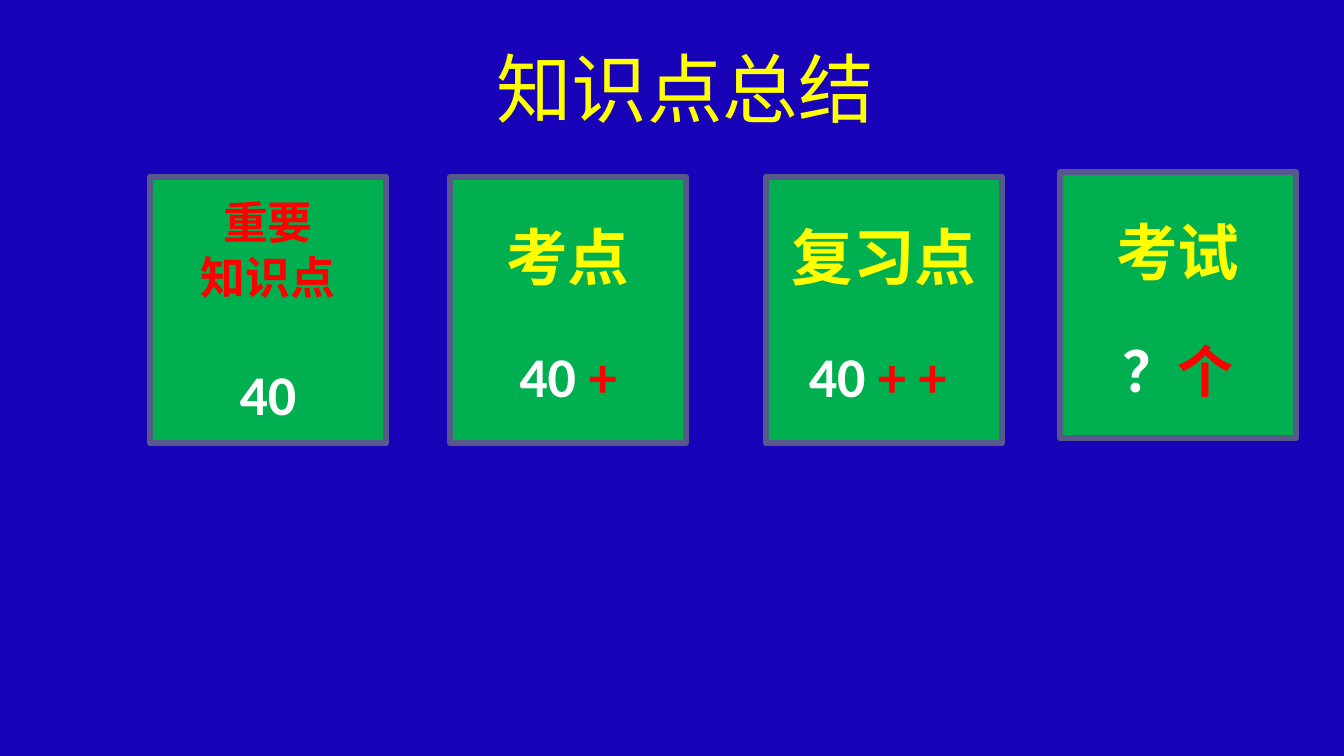
from lxml import etree
from pptx import Presentation
from pptx.dml.color import RGBColor
from pptx.enum.shapes import MSO_SHAPE
from pptx.enum.text import MSO_ANCHOR, PP_ALIGN
from pptx.oxml.ns import qn
from pptx.util import Pt

RECT = MSO_SHAPE.RECTANGLE
TOP, MIDDLE = MSO_ANCHOR.TOP, MSO_ANCHOR.MIDDLE
LEFT, CENTER = PP_ALIGN.LEFT, PP_ALIGN.CENTER
PX = 914400 / 100.8
SC, JP = "Noto Sans CJK SC", "Noto Sans CJK JP"
HEX = {"blue": "1903B9", "green": "00B050", "edge": "59588A",
       "yellow": "FFFF00", "red": "FF0000", "white": "FFFFFF"}
COLOR = {name: RGBColor.from_string(code) for name, code in HEX.items()}


def px(*nums):
    return [round(n * PX) for n in nums]


def write(para, runs, size, pitch, east=SC, bold=True, align=CENTER, before=0):
    """Fill a paragraph with (text, color) runs."""
    para.alignment = align
    para.line_spacing = Pt(pitch)
    para.space_before = Pt(before)
    for text, color in runs:
        run = para.add_run()
        run.text = text
        font = run.font
        font.size, font.bold, font.name = Pt(size), bold, "Calibri"
        font.color.rgb = COLOR[color]
        props = run._r.get_or_add_rPr()
        etree.SubElement(props, qn("a:ea")).set("typeface", east)


# Slide and background
prs = Presentation()
prs.slide_width, prs.slide_height = px(1344, 756)
slide = prs.slides.add_slide(prs.slide_layouts[5])
back = slide.background.fill
back.solid()
back.fore_color.rgb = COLOR["blue"]

# Title
title = slide.shapes.title
title.left, title.top, title.width, title.height = px(486, 35, 417, 102)
frame = title.text_frame
frame.word_wrap, frame.vertical_anchor = True, TOP
write(frame.paragraphs[0], [("知识点总结", "yellow")], 54, 66,
      east=JP, bold=False, align=LEFT)

# Cards: left, top, heading lines, count runs
cards = [
    (150, 177, ["重要", "知识点"], [("40", "white")]),
    (450, 177, ["考点"], [("40 ", "white"), ("+", "red")]),
    (766, 177, ["复习点"], [("40 ", "white"), ("+ + ", "red")]),
    (1060, 172, ["考试"], [("？", "white"), ("个", "red")]),
]
for left, top, heads, count in cards:
    card = slide.shapes.add_shape(RECT, *px(left, top, 236, 266))
    card.shadow.inherit = False
    card.fill.solid()
    card.fill.fore_color.rgb = COLOR["green"]
    card.line.color.rgb = COLOR["edge"]
    card.line.width = Pt(4.33)
    frame = card.text_frame
    frame.word_wrap, frame.vertical_anchor = True, MIDDLE
    # The two-line heading is smaller and red
    if len(heads) > 1:
        color, size, pitch, east, gap = "red", 32, 39, SC, 39
    else:
        color, size, pitch, east, gap = "yellow", 44, 58, JP, 34
    para = frame.paragraphs[0]
    for head in heads:
        write(para, [(head, color)], size, pitch, east=east)
        para = frame.add_paragraph()
    write(para, count, 40, 49, before=gap)

prs.save("out.pptx")
